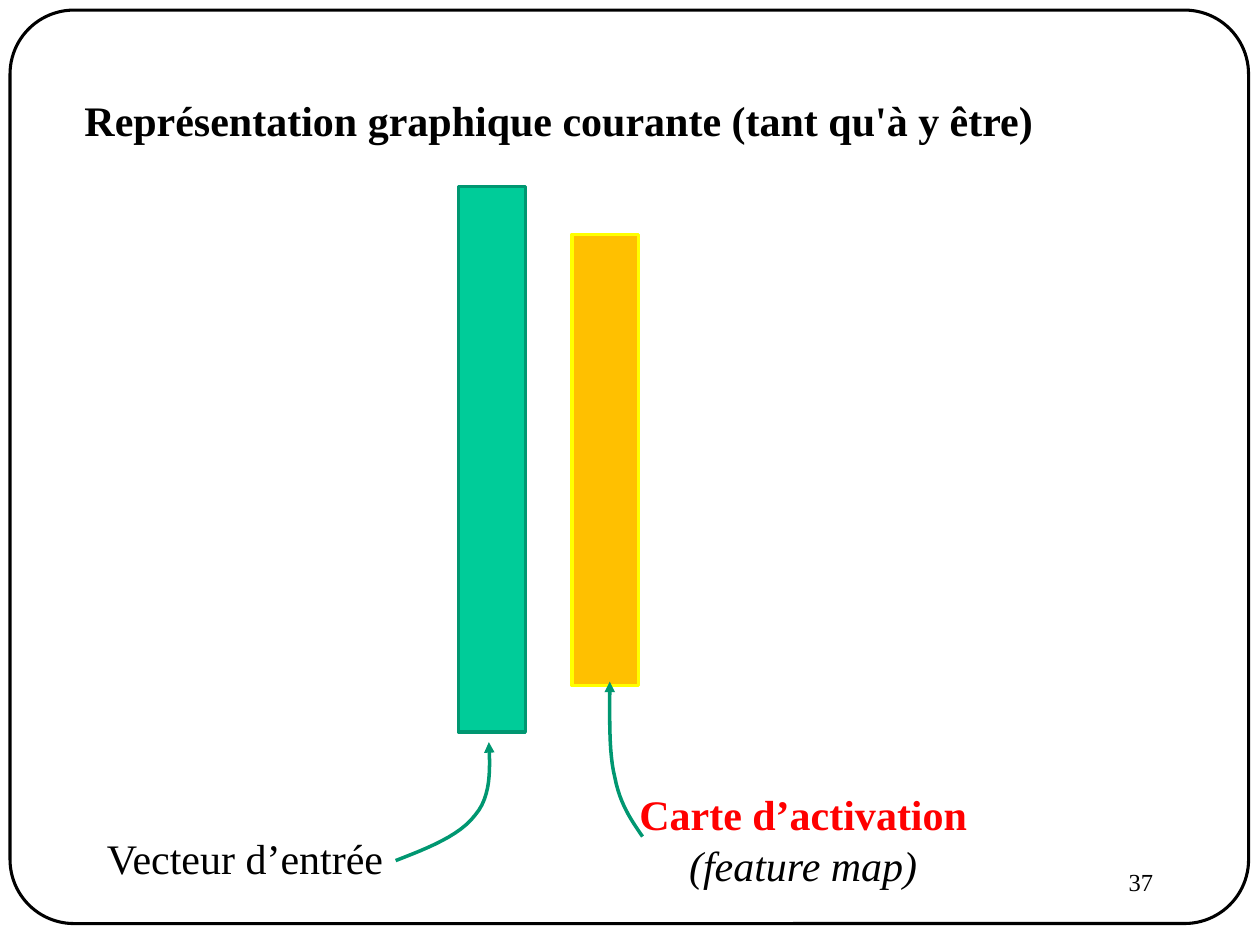
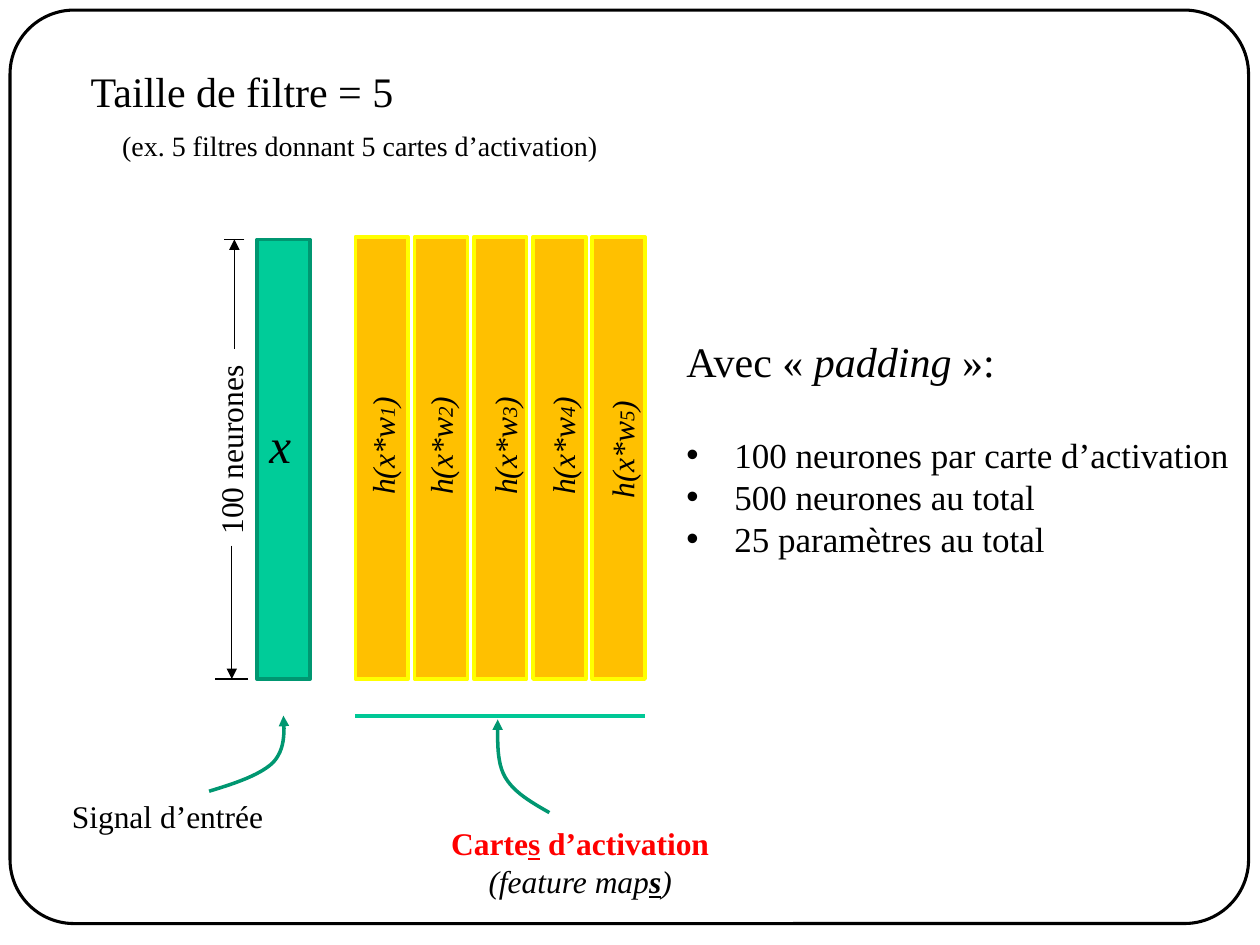
from dataclasses import dataclass

from lxml import etree
from pptx import Presentation, util as u
from pptx.dml.color import RGBColor
from pptx.enum import shapes, text
from pptx.oxml import ns


@dataclass(frozen=True)
class Theme:
    font: str = "Times New Roman"
    black: str = "000000"
    red: str = "FF0000"
    input_fill: str = "00CC99"
    input_line: str = "009771"
    map_fill: str = "FFC000"
    map_line: str = "FFFF00"
    bracket: str = "00C896"
    heading: int = 24
    bullet: int = 20
    label: int = 18
    note: int = 16
    number: int = 14
    index: int = 12
    symbol: int = 28


THEME = Theme()
LEFT, CENTER, RIGHT = text.PP_ALIGN.LEFT, text.PP_ALIGN.CENTER, text.PP_ALIGN.RIGHT
ITALIC = {"italic": True}

presentation = Presentation()
presentation.slide_width, presentation.slide_height = u.Inches(10), u.Inches(7.5)
GRID = presentation.slide_width / 100  # 100 columns by 75 rows


def write_text(slide, at, paragraphs, size, alignment=LEFT, rotation=0, title=False):
    """Write (runs, font settings) paragraphs into the title or a new text box."""
    box = slide.shapes.title if title else slide.shapes.add_textbox(0, 0, 0, 0)
    box.left, box.top, box.width, box.height = (round(v * GRID) for v in at)
    box.rotation = rotation
    frame = box.text_frame
    frame.word_wrap = False
    frame.auto_size = text.MSO_AUTO_SIZE.SHAPE_TO_FIT_TEXT
    frame.vertical_anchor = text.MSO_ANCHOR.TOP
    for index, (runs, settings) in enumerate(paragraphs):
        paragraph = frame.add_paragraph() if index else frame.paragraphs[0]
        paragraph.alignment = alignment
        settings = {"name": THEME.font, "size": u.Pt(size), "color": THEME.black, **settings}
        paragraph.font.color.rgb = RGBColor.from_string(settings.pop("color"))
        for name, value in settings.items():
            setattr(paragraph.font, name, value)
        for words, changes in runs:
            run = paragraph.add_run()
            run.text = words
            for name, value in changes.items():
                setattr(run.font, name, value)
    return frame.paragraphs


def style_line(shape, color, width, arrow=False):
    """Set line colour and width, an optional arrowhead, and no shadow."""
    shape.line.color.rgb = RGBColor.from_string(color)
    shape.line.width = u.Pt(width)
    if arrow:
        head = etree.SubElement(shape.line._get_or_add_ln(), ns.qn("a:tailEnd"))
        head.set("type", "triangle")
    etree.SubElement(shape._element.spPr, ns.qn("a:effectLst"))


# Shared frame, kept on the title-only layout
layout = presentation.slide_layouts[5]
common, filters = [presentation.slides.add_slide(layout) for _ in range(2)]
frame_at = [round(v * GRID) for v in (0.8, 0.8, 98.3, 72.5)]
border = common.shapes.add_shape(shapes.MSO_SHAPE.ROUNDED_RECTANGLE, *frame_at)
border.adjustments[0] = 0.07
border.fill.background()
style_line(border, THEME.black, 1.75)
layout.shapes._spTree.append(border._element)

# Bars: input vectors in green, activation maps in orange
map_columns = [28.2 + 4.7 * i for i in range(5)]
input_style = (THEME.input_fill, THEME.input_line)
map_style = (THEME.map_fill, THEME.map_line)
bars = [
    (common, (36.4, 14.8, 5.3, 43.3), input_style),
    (common, (45.4, 18.6, 5.3, 35.8), map_style),
    (filters, (20.4, 19, 4.2, 34.9), input_style),
    *[(filters, (column, 18.8, 4.2, 35.1), map_style) for column in map_columns],
]
for slide, at, (fill, line) in bars:
    bar = slide.shapes.add_shape(shapes.MSO_SHAPE.RECTANGLE, *[round(v * GRID) for v in at])
    bar.fill.solid()
    bar.fill.fore_color.rgb = RGBColor.from_string(fill)
    style_line(bar, line, 2)

# Curved arrows: two cubic Bézier pieces each, traced in short steps
STEPS = 12
curves = [
    (common, [(51, 66.4), (50.1, 65.1), (49.2, 63.8), (48.8, 61.7),
              (48.3, 59.7), (48.4, 56.9), (48.4, 54.1)]),
    (common, [(31.4, 68.3), (34, 67.3), (36.5, 66.3), (37.7, 64.7),
              (39, 63.2), (38.9, 61), (38.8, 58.9)]),
    (filters, [(43.6, 64.5), (42.2, 63.7), (40.8, 62.9), (40.1, 61.7),
               (39.4, 60.5), (39.5, 58.8), (39.5, 57.1)]),
    (filters, [(16.6, 62.8), (18.6, 62.2), (20.7, 61.5), (21.7, 60.5),
               (22.6, 59.5), (22.6, 58.2), (22.5, 56.8)]),
]
for slide, controls in curves:
    points = []
    for first in (0, 3):
        for step in range(1, STEPS + 1):
            t = step / STEPS
            weights = ((1 - t) ** 3, 3 * t * (1 - t) ** 2, 3 * t * t * (1 - t), t ** 3)
            piece = controls[first:first + 4]
            points.append([sum(w * p[axis] for w, p in zip(weights, piece)) * GRID
                           for axis in (0, 1)])
    builder = slide.shapes.build_freeform(controls[0][0] * GRID, controls[0][1] * GRID)
    builder.add_line_segments(points, close=False)
    curve = builder.convert_to_shape()
    curve.fill.background()
    style_line(curve, THEME.input_line, 2, arrow=True)

# Straight lines: map bracket and height dimension
lines = [
    ((28.2, 56.8, 51.2, 56.8), THEME.bracket, 2.25, False),
    ((18.6, 27.7, 18.6, 19), THEME.black, 0.75, True),
    ((19.4, 19, 17.8, 19), THEME.black, 0.75, False),
    ((18.4, 43.3, 18.4, 53.9), THEME.black, 0.75, True),
    ((19.7, 53.9, 17.1, 53.9), THEME.black, 0.75, False),
]
for ends, color, width, arrow in lines:
    connector = filters.shapes.add_connector(
        shapes.MSO_CONNECTOR.STRAIGHT, *[round(v * GRID) for v in ends])
    style_line(connector, color, width, arrow)

# Text of the common representation
write_text(common, (5.7, 7, 78.1, 5),
           [([("Représentation graphique courante (tant qu'à y être)", {})], {"bold": True})],
           THEME.heading, title=True)
write_text(common, (49.6, 62.1, 28.3, 9.1),
           [([("Carte d’activation", {})], {"bold": True, "color": THEME.red}),
            ([("(feature map)", {})], ITALIC)], THEME.heading, CENTER)
write_text(common, (7.4, 65.6, 24.1, 5), [([("Vecteur d’entrée", {})], {})],
           THEME.heading, CENTER)
write_text(common, (71.7, 68.3, 20.8, 5), [([("37", {})], {})], THEME.number, RIGHT)

# Text of the filter example
title_lines = write_text(
    filters, (6.2, 4.7, 42.9, 9.1),
    [([("Taille de filtre = 5", {})], {}),
     ([("(ex. 5 filtres donnant 5 cartes d’activation)", {})], {"size": u.Pt(THEME.note)})],
    THEME.heading, title=True)
title_lines[1].space_before = u.Pt(7)
title_lines[1]._p.get_or_add_pPr().set("marL", str(u.Inches(0.25)))

underlined = {"underline": True}
write_text(filters, (34.7, 64.9, 22.7, 7.1),
           [([("Carte", {}), ("s", underlined), (" d’activation", {})],
             {"bold": True, "color": THEME.red}),
            ([("(feature map", {}), ("s", {"bold": True, **underlined}), (")", {})], ITALIC)],
           THEME.label, CENTER)
write_text(filters, (4.6, 62.8, 17.4, 4), [([("Signal d’entrée", {})], {})],
           THEME.label, CENTER)
write_text(filters, (20.4, 32.4, 3.8, 5.7), [([("x", {})], ITALIC)], THEME.symbol)
write_text(filters, (10.5, 33.6, 15.6, 4), [([("100 neurones", {})], {})],
           THEME.label, rotation=270)

label_positions = [(25.4, 33.3), (30, 33.3), (35.1, 33.3), (39.7, 33.3), (44.4, 33.6)]
for number, (left, top) in enumerate(label_positions, 1):
    runs = [("h(x*w", {}), (str(number), {"size": u.Pt(THEME.index)}), (")", {})]
    write_text(filters, (left, top, 9.9, 4), [(runs, ITALIC)], THEME.label, rotation=270)

facts = ["100 neurones par carte d’activation", "500 neurones au total", "25 paramètres au total"]
padding_lines = write_text(
    filters, (53.5, 26.1, 45.3, 19.2),
    [([("Avec « ", {}), ("padding", ITALIC), (" »:", {})], {}),
     *[([(fact, {})], {"size": u.Pt(THEME.bullet)}) for fact in facts]],
    THEME.heading)
padding_lines[1].space_before = u.Pt(27.6)
for paragraph in padding_lines[1:]:
    properties = paragraph._p.get_or_add_pPr()
    properties.set("marL", str(u.Inches(0.38)))
    properties.set("indent", str(u.Inches(-0.38)))
    for tag, attribute, value in (("a:buFont", "typeface", "Arial"), ("a:buChar", "char", "•")):
        bullet = properties.makeelement(ns.qn(tag), {attribute: value})
        properties.insert_element_before(bullet, "a:tabLst", "a:defRPr")

presentation.save("out.pptx")
